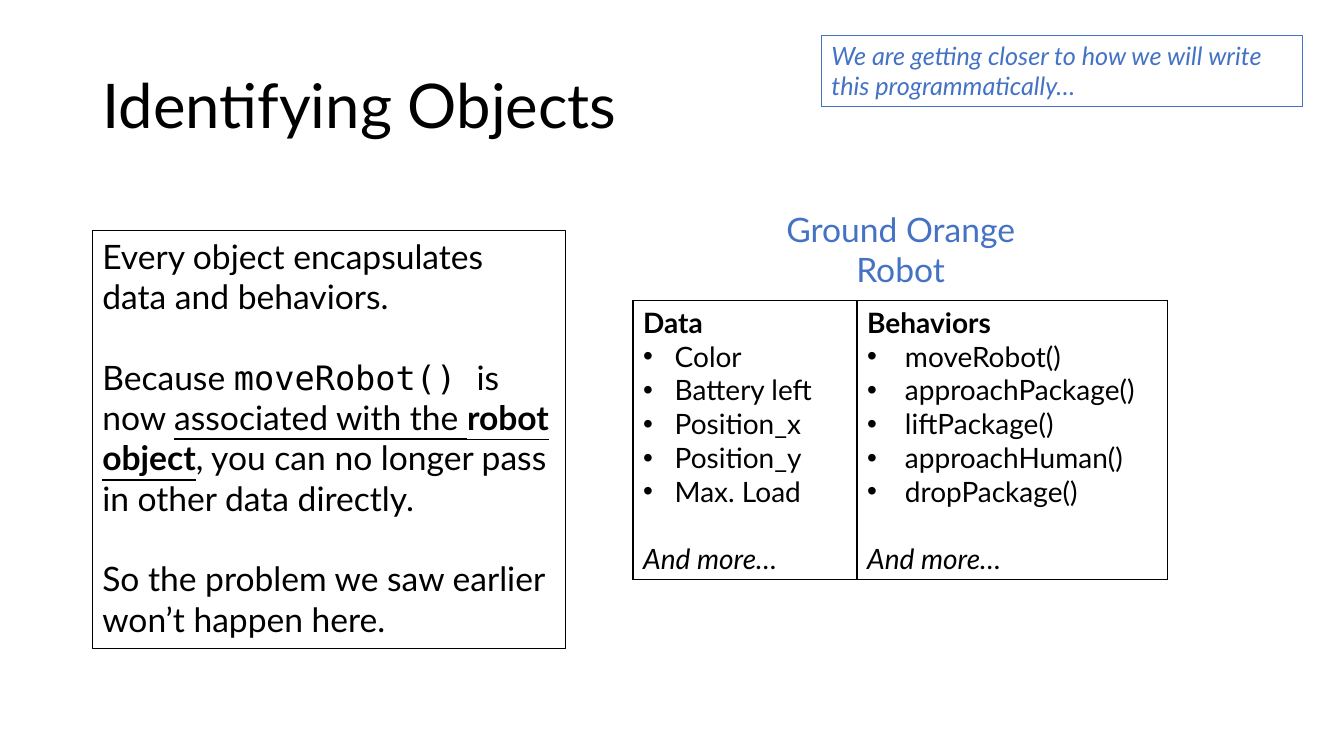
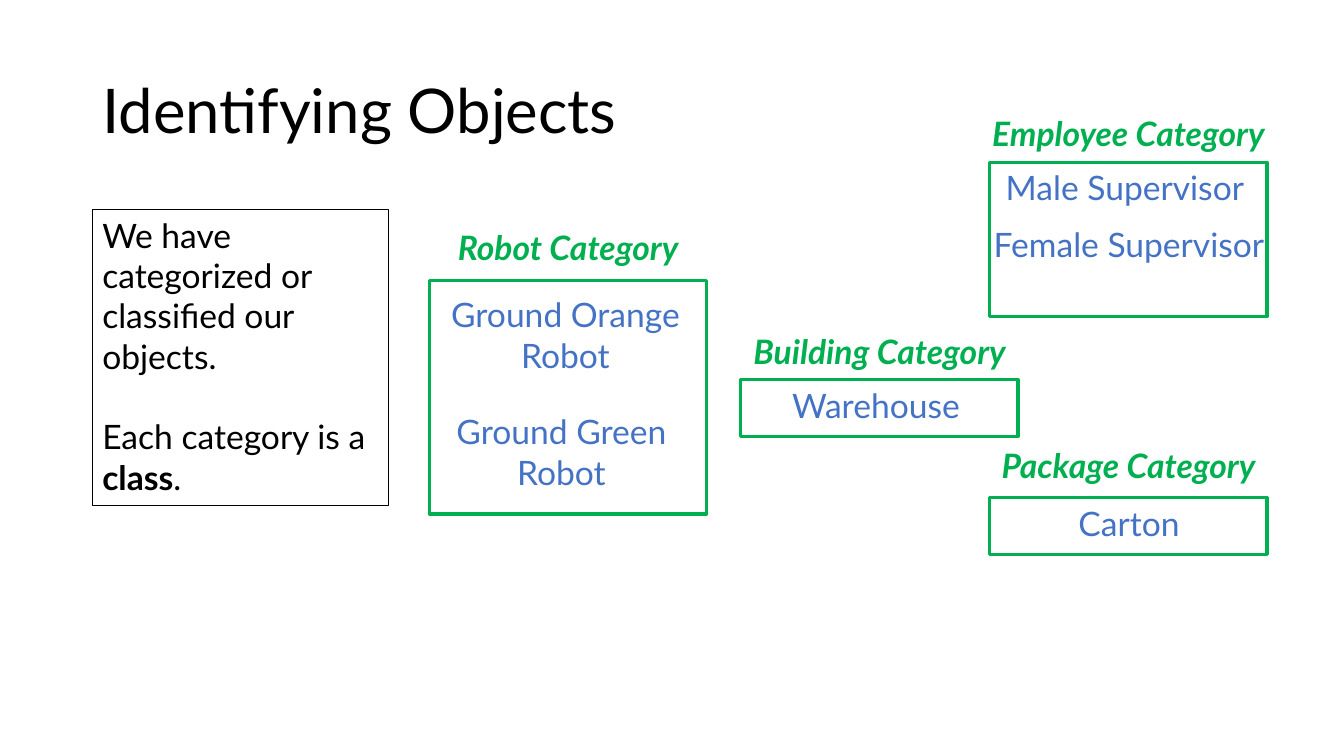
from dataclasses import dataclass

from lxml.etree import SubElement
from pptx import Presentation
from pptx.dml.color import RGBColor
from pptx.enum.shapes import MSO_SHAPE
from pptx.enum.text import MSO_ANCHOR, MSO_AUTO_SIZE, PP_ALIGN
from pptx.oxml import parse_xml
from pptx.oxml.ns import nsdecls, qn
from pptx.slide import Slide
from pptx.table import _Cell
from pptx.text.text import TextFrame
from pptx.util import Pt

BLACK = RGBColor(0x00, 0x00, 0x00)
WHITE = RGBColor(0xFF, 0xFF, 0xFF)
BLUE = RGBColor(0x44, 0x72, 0xC4)
GREEN = RGBColor(0x00, 0xB0, 0x50)

BODY_FONT = "Lato"
CODE_FONT = "DejaVu Sans Mono"
BODY_SIZE = 24
TABLE_SIZE = 20
LINE_FACTOR = 1.2  # line height of the body font

LEFT_MARGIN = 66
HEADING_WIDTH = 248
HEADING_HEIGHT = 36
MEMBER_WIDTH = 207.4


@dataclass(frozen=True)
class Box:
    left: float
    top: float
    width: float
    height: float

    @property
    def center(self) -> float:
        return self.left + self.width / 2

    def lengths(self) -> tuple[Pt, Pt, Pt, Pt]:
        return Pt(self.left), Pt(self.top), Pt(self.width), Pt(self.height)


@dataclass(frozen=True)
class Run:
    text: str
    bold: bool = False
    italic: bool = False
    underline: bool = False
    font: str = BODY_FONT


@dataclass(frozen=True)
class Line:
    runs: tuple[Run, ...]
    indent: float = 0  # a hanging indent brings a bullet
    gap: bool = False  # one empty line above


@dataclass(frozen=True)
class Column:
    heading: str
    items: tuple[str, ...]
    indent: float
    width: float


@dataclass(frozen=True)
class Member:
    text: str
    offset: float  # from the top of the frame
    shift: float  # from the centre of the frame
    lines: int = 1


@dataclass(frozen=True)
class Category:
    heading: str
    frame: Box
    heading_rise: float
    members: tuple[Member, ...]


COLUMNS = (
    Column("Data", ("Color", "Battery left", "Position_x", "Position_y", "Max. Load"), 22.5, 160),
    Column(
        "Behaviors",
        ("moveRobot()", "approachPackage()", "liftPackage()", "approachHuman()", "dropPackage()"),
        27, 221.6,
    ),
)

CATEGORIES = (
    Category(
        "Robot Category", Box(306.7, 200.2, 198, 167), 41.8,
        (Member("Ground Orange Robot", 6.5, -1.8, 2), Member("Ground Green Robot", 90, -4.7, 2)),
    ),
    Category(
        "Employee Category", Box(707, 116, 198, 110.2), 38.9,
        (Member("Male Supervisor", 0, -2.5), Member("Female Supervisor", 40.3, 0.4, 2)),
    ),
    Category("Building Category", Box(529.2, 271.4, 198, 40.3), 38.9, (Member("Warehouse", 0, -2.5),)),
    Category("Package Category", Box(707, 355.7, 198, 40.3), 41.8, (Member("Carton", 0, 0.4),)),
)

ENCAPSULATION = (
    Line((Run("Every object encapsulates data and behaviors."),)),
    Line(
        (
            Run("Because "),
            Run("moveRobot() ", font=CODE_FONT),
            Run("is now "),
            Run("associated with the ", underline=True),
            Run("robot object", bold=True, underline=True),
            Run(", you can no longer pass in other data directly."),
        ),
        gap=True,
    ),
    Line((Run("So the problem we saw earlier won’t happen here."),), gap=True),
)

CLASSIFICATION = (
    Line((Run("We have categorized or classified our objects."),)),
    Line((Run("Each category is a "), Run("class", bold=True), Run(".")), gap=True),
)


def add_bullet(paragraph, indent: float) -> None:
    properties = paragraph._p.get_or_add_pPr()
    properties.set("marL", str(Pt(indent)))
    properties.set("indent", str(-Pt(indent)))
    SubElement(properties, qn("a:buFont")).set("typeface", "Arial")
    SubElement(properties, qn("a:buChar")).set("char", "•")


def write_lines(
    text_frame: TextFrame, lines: tuple[Line, ...], size: float, color: RGBColor,
    alignment: PP_ALIGN = PP_ALIGN.LEFT,
) -> None:
    for index, line in enumerate(lines):
        paragraph = text_frame.add_paragraph() if index else text_frame.paragraphs[0]
        paragraph.alignment = alignment
        if line.gap:
            paragraph.space_before = Pt(size * LINE_FACTOR)
        if line.indent:
            add_bullet(paragraph, line.indent)
        for part in line.runs:
            run = paragraph.add_run()
            run.text = part.text
            run.font.name = part.font
            run.font.size = Pt(size)
            run.font.color.rgb = color
            run.font.bold = part.bold
            run.font.italic = part.italic
            run.font.underline = part.underline


def add_text(
    slide: Slide, box: Box, lines: tuple[Line, ...], color: RGBColor = BLACK,
    size: float = BODY_SIZE, alignment: PP_ALIGN = PP_ALIGN.LEFT, outlined: bool = False,
) -> None:
    shape = slide.shapes.add_textbox(*box.lengths())
    shape.text_frame.word_wrap = True
    if outlined:
        shape.line.color.rgb = color
        shape.line.width = Pt(0.75)
    write_lines(shape.text_frame, lines, size, color, alignment)


def add_label(slide: Slide, box: Box, run: Run, color: RGBColor) -> None:
    add_text(slide, box, (Line((run,)),), color, alignment=PP_ALIGN.CENTER)


def add_titled_slide(presentation, title_top: float) -> Slide:
    slide = presentation.slides.add_slide(presentation.slide_layouts[5])
    title = slide.shapes.title
    title.left, title.top, title.width, title.height = Box(LEFT_MARGIN, title_top, 828, 104.4).lengths()
    text_frame = title.text_frame
    text_frame.auto_size = MSO_AUTO_SIZE.NONE
    text_frame.vertical_anchor = MSO_ANCHOR.MIDDLE
    write_lines(text_frame, (Line((Run("Identifying Objects"),)),), 44, BLACK)
    text_frame.paragraphs[0].line_spacing = 0.9
    return slide


def format_cell(cell: _Cell) -> None:
    cell.fill.solid()
    cell.fill.fore_color.rgb = WHITE
    properties = cell._tc.get_or_add_tcPr()
    for index, side in enumerate(("lnL", "lnR", "lnT", "lnB")):
        border = parse_xml(
            f'<a:{side} {nsdecls("a")} w="{Pt(1)}"><a:solidFill>'
            f'<a:srgbClr val="{BLACK}"/></a:solidFill></a:{side}>'
        )
        properties.insert(index, border)


def add_robot_table(slide: Slide) -> None:
    box = Box(452.2, 214.6, sum(column.width for column in COLUMNS), 199.4)
    table = slide.shapes.add_table(1, len(COLUMNS), *box.lengths()).table
    table.first_row = table.horz_banding = False
    for index, column in enumerate(COLUMNS):
        table.columns[index].width = Pt(column.width)
        cell = table.cell(0, index)
        format_cell(cell)
        lines = (
            Line((Run(column.heading, bold=True),)),
            *(Line((Run(item),), indent=column.indent) for item in column.items),
            Line((Run("And more…", italic=True),), gap=True),
        )
        write_lines(cell.text_frame, lines, TABLE_SIZE, BLACK)


def add_category(slide: Slide, category: Category) -> None:
    frame = category.frame
    for member in category.members:
        left = frame.center + member.shift - MEMBER_WIDTH / 2
        height = 7.2 + member.lines * BODY_SIZE * LINE_FACTOR
        box = Box(left, frame.top + member.offset, MEMBER_WIDTH, height)
        add_label(slide, box, Run(member.text), BLUE)

    shape = slide.shapes.add_shape(MSO_SHAPE.RECTANGLE, *frame.lengths())
    shape.shadow.inherit = False
    shape.fill.background()
    shape.line.color.rgb = GREEN
    shape.line.width = Pt(2.25)

    heading_box = Box(
        frame.center - HEADING_WIDTH / 2, frame.top - category.heading_rise, HEADING_WIDTH, HEADING_HEIGHT
    )
    add_label(slide, heading_box, Run(category.heading, bold=True, italic=True), GREEN)


def build_robot_slide(presentation) -> None:
    slide = add_titled_slide(presentation, 25.2)
    add_label(slide, Box(547.9, 145.4, 190.8, 65.5), Run("Ground Orange Robot"), BLUE)
    add_robot_table(slide)
    add_text(slide, Box(LEFT_MARGIN, 164.9, 337.7, 298.1), ENCAPSULATION, outlined=True)
    remark = Run("We are getting closer to how we will write this programmatically…", italic=True)
    add_text(slide, Box(586.8, 25.2, 343.4, 51), (Line((remark,)),), BLUE, 18, outlined=True)


def build_category_slide(presentation) -> None:
    slide = add_titled_slide(presentation, 28.8)
    add_text(slide, Box(LEFT_MARGIN, 149.8, 211.7, 211), CLASSIFICATION, outlined=True)
    for category in CATEGORIES:
        add_category(slide, category)


def main() -> None:
    presentation = Presentation()
    presentation.slide_width, presentation.slide_height = Pt(960), Pt(540)
    build_robot_slide(presentation)
    build_category_slide(presentation)
    presentation.save("out.pptx")


if __name__ == "__main__":
    main()
